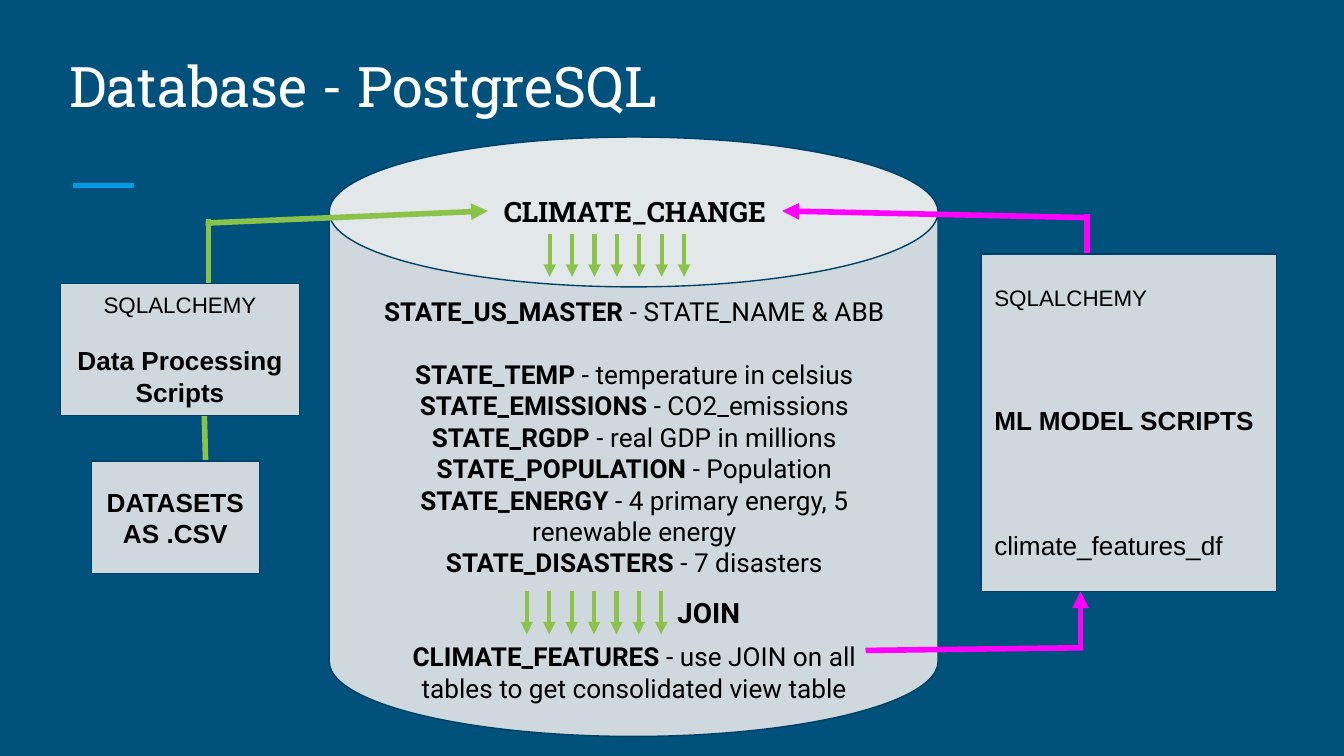
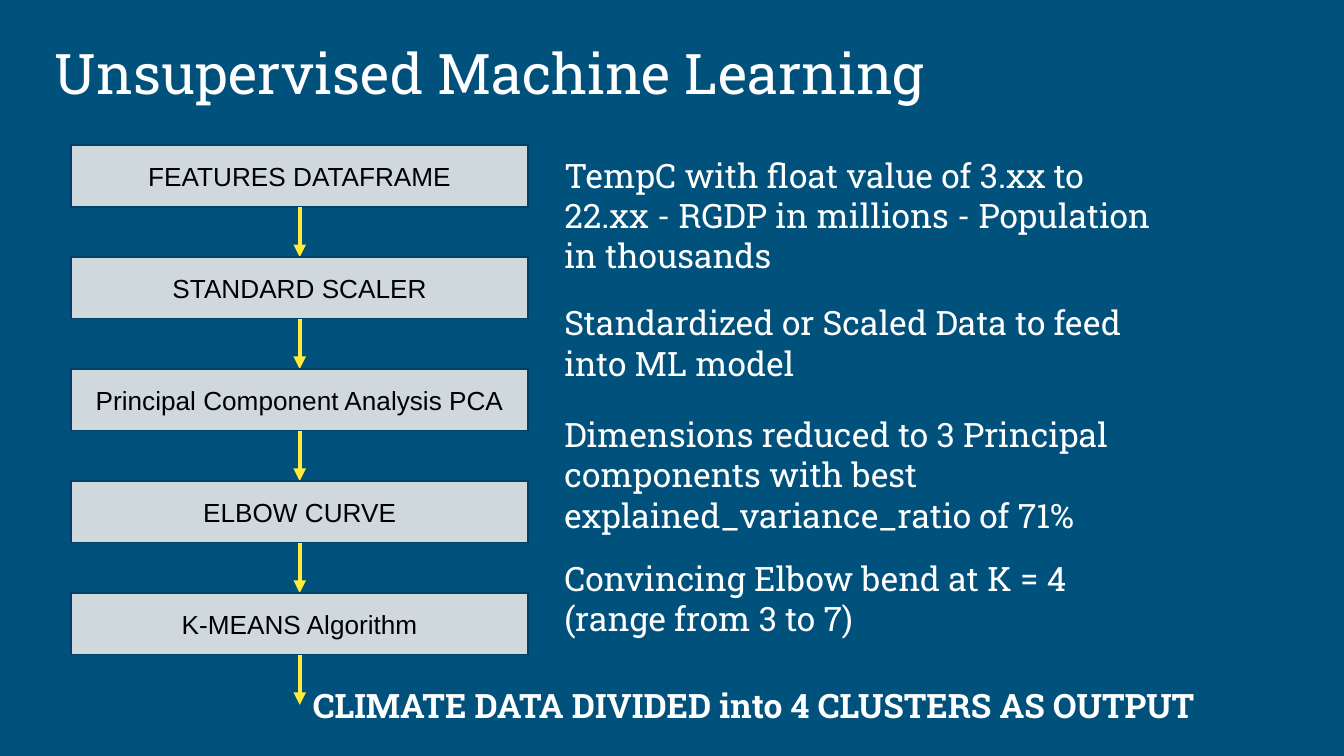
"""Build two slides: a climate database diagram and a machine learning flow."""
from lxml import etree
from pptx import Presentation
from pptx import util as u
from pptx.dml.color import RGBColor
from pptx.enum import shapes, text
from pptx.oxml import ns

HUES = {"back": "00517C", "panel": "CFD8DC", "edge": "004065", "accent": "039BE5",
        "green": "8BC34A", "pink": "FF00FF", "yellow": "FFEB38",
        "ink": "000000", "white": "FFFFFF"}
MID, TOP, LOW = text.MSO_ANCHOR.MIDDLE, text.MSO_ANCHOR.TOP, text.MSO_ANCHOR.BOTTOM
LEFT, MIDDLE = text.PP_ALIGN.LEFT, text.PP_ALIGN.CENTER
RECT, CAN = shapes.MSO_SHAPE.RECTANGLE, shapes.MSO_SHAPE.CAN

HEAD = {"name": "Roboto Slab", "size": u.Pt(30)}
NOTE = {"name": "Roboto Slab", "size": u.Pt(18)}
NAME = {"name": "Roboto Slab", "size": u.Pt(15), "bold": True}
JOIN = {"name": "Roboto", "size": u.Pt(15), "bold": True}
BODY = {"name": "Roboto", "size": u.Pt(14)}
LABEL = {"name": "Arial", "size": u.Pt(14)}
BOLD, SMALL = {"bold": True}, {"size": u.Pt(12)}

deck = Presentation()
deck.slide_width, deck.slide_height = u.Inches(10), u.Inches(5.625)
CELL = deck.slide_width / 100
fill = deck.slide_master.background.fill
fill.solid()
fill.fore_color.rgb = RGBColor.from_string(HUES["back"])


def box(page, spot, paras, base, hue="ink", kind=None, align=LEFT, anchor=TOP):
    """Add a panel or text box; each paragraph is a gap before it and its runs."""
    area = [round(n * CELL) for n in spot]
    if kind is None:
        item = page.shapes.add_textbox(*area)
    else:
        item = page.shapes.add_shape(kind, *area)
        item.shadow.inherit = False
        item.fill.solid()
        item.fill.fore_color.rgb = RGBColor.from_string(HUES["panel"])
        item.line.color.rgb = RGBColor.from_string(HUES["edge"])
        item.line.width = u.Pt(0.75)
    frame = item.text_frame
    pad = u.Inches(0.1)
    form = {"word_wrap": True, "vertical_anchor": anchor, "margin_left": pad,
            "margin_right": pad, "margin_top": pad, "margin_bottom": pad}
    for key, val in form.items():
        setattr(frame, key, val)
    for i, (gap, runs) in enumerate(paras):
        para = frame.add_paragraph() if i else frame.paragraphs[0]
        para.alignment = align
        if gap:
            para.space_before = u.Pt(gap)
        for words, extra in runs:
            run = para.add_run()
            run.text = words
            for key, val in {**base, **extra}.items():
                setattr(run.font, key, val)
            run.font.color.rgb = RGBColor.from_string(HUES[hue])


def line(page, ends, hue, width, tip=False):
    """Draw a straight line, with an arrowhead at its end if tip is set."""
    item = page.shapes.add_connector(shapes.MSO_CONNECTOR.STRAIGHT,
                                     *[round(n * CELL) for n in ends])
    item.line.color.rgb = RGBColor.from_string(HUES[hue])
    item.line.width = u.Pt(width)
    if tip:
        etree.SubElement(item.line._get_or_add_ln(), ns.qn("a:tailEnd"), type="triangle")
    etree.SubElement(item._element.spPr, ns.qn("a:effectLst"))


pages = []
for title, left, top in [("Database - PostgreSQL", 4.2, 2.3),
                         ("Unsupervised Machine Learning", 3.1, 1.4)]:
    page = deck.slides.add_slide(deck.slide_layouts[6])
    box(page, (left, top, 91.5, 7.5), [(0, [(title, {})])], HEAD, "white", anchor=LOW)
    pages.append(page)
data, learn = pages

line(data, (5.4, 13.8, 10, 13.8), "accent", 3)
box(data, (24.5, 10.2, 45.3, 44.6), [], BODY, kind=CAN)

for ends, hue, tip in [
    ((15.3, 16.6, 36.3, 15.7), "green", True),
    ((15.5, 16.3, 15.5, 21.7), "green", False),
    ((15.2, 30.8, 15.3, 34.4), "green", False),
    ((80.9, 18.9, 80.9, 15.9), "pink", False),
    ((81.1, 16.2, 58.2, 15.7), "pink", True),
    ((64.4, 48.4, 80.6, 48.2), "pink", False),
    ((80.4, 48.2, 80.4, 44), "pink", True),
]:
    line(data, ends, hue, 3, tip)

STEP = 5 / 3
for start, top in [(40.9, 17.4), (39.2, 44)]:
    for i in range(7):
        x = start + i * STEP
        line(data, (x, top, x, top + 3.2), "green", 2.25, True)

box(data, (6.8, 34.3, 12.5, 8.4), [(0, [("DATASETS AS .CSV", BOLD)])],
    LABEL, kind=RECT, align=MIDDLE, anchor=MID)
box(data, (4.5, 21.1, 17.8, 9.8),
    [(0, [("SQLALCHEMY", SMALL)]), (14, [("Data Processing Scripts", BOLD)])],
    LABEL, kind=RECT, align=MIDDLE, anchor=MID)
box(data, (73, 18.9, 22, 25.1),
    [(0, [("SQLALCHEMY", SMALL)]), (50, [("ML MODEL SCRIPTS", BOLD)]),
     (50, [("climate_features_df", {})])],
    LABEL, kind=RECT, anchor=MID)

tables = [
    (0, "STATE_US_MASTER", "STATE_NAME & ABB"),
    (16.8, "STATE_TEMP", "temperature in celsius"),
    (0, "STATE_EMISSIONS", "CO2_emissions"),
    (0, "STATE_RGDP", "real GDP in millions"),
    (0, "STATE_POPULATION", "Population"),
    (0, "STATE_ENERGY", "4 primary energy, 5 renewable energy"),
    (0, "STATE_DISASTERS", "7 disasters"),
    (33.6, "CLIMATE_FEATURES", "use JOIN on all tables to get consolidated view table"),
]
box(data, (36.3, 13.5, 21.9, 4.5), [(0, [("CLIMATE_CHANGE", {})])], NAME, align=MIDDLE)
box(data, (26.9, 21, 40.6, 35),
    [(gap, [(name, BOLD), (f" - {what}", {})]) for gap, name, what in tables],
    BODY, align=MIDDLE)
box(data, (49.4, 43.3, 13.9, 4.5), [(0, [("JOIN", {})])], JOIN)

PITCH, TALL = 8.33, 4.6
steps = ["FEATURES DATAFRAME", "STANDARD SCALER", "Principal Component Analysis PCA",
         "ELBOW CURVE", "K-MEANS Algorithm"]
for i, step in enumerate(steps):
    top = 10.8 + i * PITCH
    box(learn, (5.3, top, 34, TALL), [(0, [(step, {})])],
        LABEL, kind=RECT, align=MIDDLE, anchor=MID)
    line(learn, (22.3, top + TALL, 22.3, top + PITCH), "yellow", 2.25, True)

notes = [
    (10.5, 11.1, ["TempC with float value of 3.xx to 22.xx - RGDP in millions"
                  " - Population in thousands"]),
    (21.5, 8.1, ["Standardized or Scaled Data to feed into ML model"]),
    (29.8, 11.1, ["Dimensions reduced to 3 Principal components with best"
                  " explained_variance_ratio of 71%"]),
    (40.5, 8.1, ["Convincing Elbow bend at K = 4", "(range from 3 to 7)"]),
]
for top, tall, rows in notes:
    box(learn, (41, top, 46.9, tall), [(0, [(row, {})]) for row in rows], NOTE, "white")
box(learn, (22.3, 50, 68.4, 5),
    [(0, [("CLIMATE DATA DIVIDED into 4 CLUSTERS AS OUTPUT", BOLD)])], NOTE, "white")

deck.save("out.pptx")
